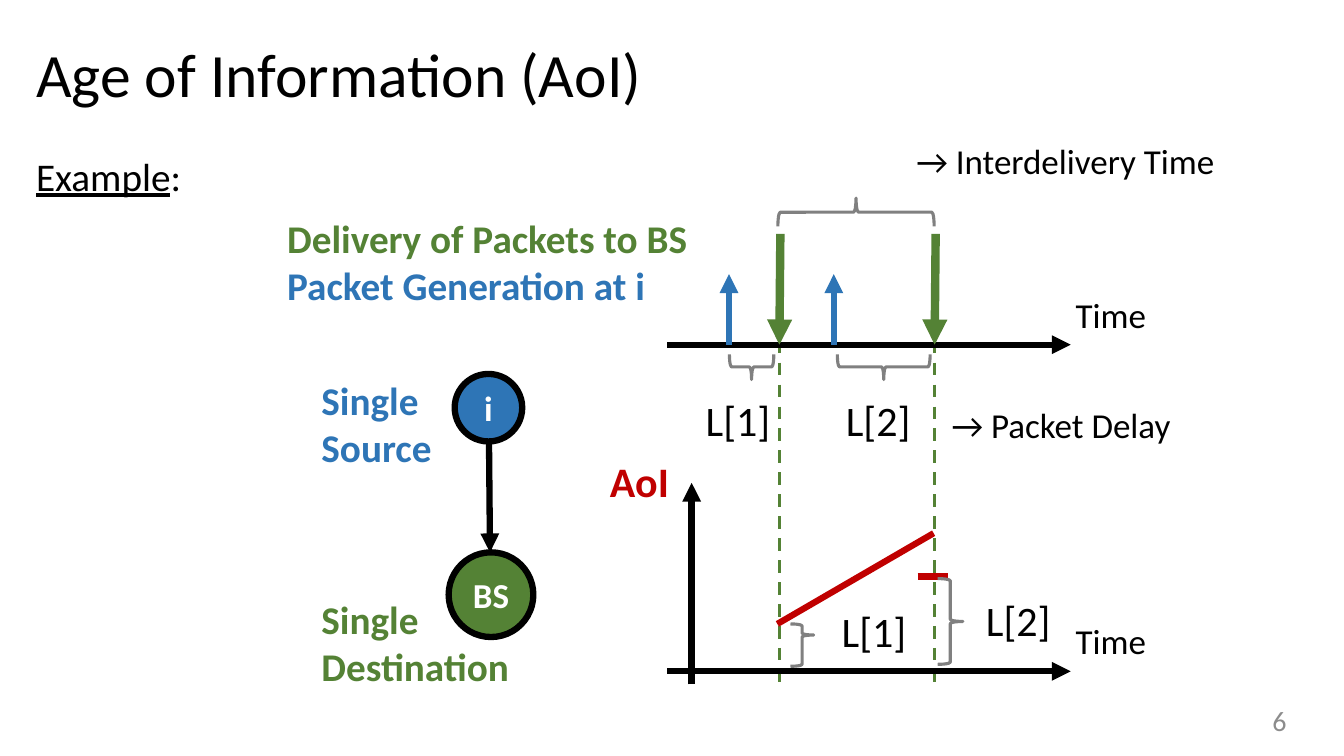
from dataclasses import dataclass

from lxml import etree
from pptx import Presentation
from pptx import util as u
from pptx.dml.color import RGBColor
from pptx.enum import dml, shapes, text
from pptx.oxml import ns


@dataclass(frozen=True)
class Theme:
    font: str = "Calibri"
    black: str = "000000"
    white: str = "FFFFFF"
    grey: str = "808080"
    number_grey: str = "8C8C8C"
    blue: str = "2E75B6"
    green: str = "548235"
    red: str = "C00000"
    title: int = 44
    interval: int = 30
    body: int = 28
    label: int = 25
    number: int = 20
    heavy: float = 4.5
    thin: float = 2.25


THEME = Theme()
LEFT, CENTER, RIGHT = text.PP_ALIGN.LEFT, text.PP_ALIGN.CENTER, text.PP_ALIGN.RIGHT
TOP, MIDDLE = text.MSO_ANCHOR.TOP, text.MSO_ANCHOR.MIDDLE

# Shared positions on the two time axes
AXIS_START, AXIS_END = 6.62, 10.62
PACKET_AXIS, AGE_AXIS = 3.42, 6.66
GENERATIONS = (7.23, 8.27)
DELIVERIES = (7.73, 9.27)


def set_all(target, values):
    for name, value in values.items():
        setattr(target, name, value)


def inches(values):
    return [u.Inches(value) for value in values]


def write(shape, lines, size, align=LEFT, anchor=TOP, wrap=True, spacing=1.0):
    """Fill a shape with paragraphs; each line is a list of run formats."""
    frame = shape.text_frame
    set_all(frame, {"word_wrap": wrap, "vertical_anchor": anchor,
                    "auto_size": text.MSO_AUTO_SIZE.NONE})
    for index, runs in enumerate(lines):
        paragraph = frame.paragraphs[0] if index == 0 else frame.add_paragraph()
        set_all(paragraph, {"alignment": align, "line_spacing": spacing})
        for words, color, style in runs:
            run = paragraph.add_run()
            run.text = words
            set_all(run.font, {"name": THEME.font, "size": u.Pt(size), **style})
            run.font.color.rgb = RGBColor.from_string(color)


def add_label(slide, box, lines, size, **layout):
    write(slide.shapes.add_textbox(*inches(box)), lines, size, **layout)


def plain(words, color=THEME.black):
    return [(words, color, {})]


def bold(words, color):
    return [(words, color, {"bold": True})]


def set_outline(line, color, width):
    line.color.rgb = RGBColor.from_string(color)
    line.width = u.Pt(width)


def add_line(slide, start, end, color, width=THEME.heavy, arrow=False, dash=False):
    connector = slide.shapes.add_connector(
        shapes.MSO_CONNECTOR.STRAIGHT, *inches(start + end))
    set_outline(connector.line, color, width)
    if dash:
        connector.line.dash_style = dml.MSO_LINE.DASH
    if arrow:
        etree.SubElement(connector.line._get_or_add_ln(), ns.qn("a:tailEnd"),
                         type="triangle")
    properties = connector._element.spPr
    etree.SubElement(properties, ns.qn("a:effectLst"))


def add_node(slide, box, words, color):
    node = slide.shapes.add_shape(shapes.MSO_SHAPE.OVAL, *inches(box))
    node.shadow.inherit = False
    node.fill.solid()
    node.fill.fore_color.rgb = RGBColor.from_string(color)
    set_outline(node.line, THEME.black, THEME.heavy)
    set_all(node.text_frame, dict.fromkeys(("margin_left", "margin_right"), 0))
    write(node, [bold(words, THEME.white)], THEME.label, CENTER, MIDDLE)


def add_brace(slide, box, rotation, adjustments=()):
    brace = slide.shapes.add_shape(shapes.MSO_SHAPE.LEFT_BRACE, *inches(box))
    brace.shadow.inherit = False
    brace.fill.background()
    brace.rotation = rotation
    set_outline(brace.line, THEME.grey, THEME.thin)
    for index, value in enumerate(adjustments):
        brace.adjustments[index] = value


def add_headings(slide):
    title = slide.shapes.title
    set_all(title, dict(zip(("left", "top", "width", "height"),
                            inches((0.26, 0.22, 12.82, 1.1)))))
    write(title, [plain("Age of Information (AoI)")], THEME.title,
          anchor=MIDDLE, spacing=0.9)
    add_label(slide, (0.26, 1.51, 2.5, 0.6),
              [[("Example", THEME.black, {"underline": True}),
                (":", THEME.black, {"underline": False})]],
              THEME.body, spacing=0.9)
    add_label(slide, (9.86, 6.95, 3, 0.4), [plain("6", THEME.number_grey)],
              THEME.number, align=RIGHT, anchor=MIDDLE)


def add_network(slide):
    add_line(slide, (4.85, 4.39), (4.86, 5.48), THEME.black, arrow=True)
    add_node(slide, (4.45, 5.48, 0.84, 0.84), "BS", THEME.green)
    add_node(slide, (4.51, 3.71, 0.67, 0.67), "i", THEME.blue)
    for top, role, color in ((3.68, "Source", THEME.blue),
                             (5.86, "Destination", THEME.green)):
        add_label(slide, (3.09, top, 2.3, 1.04),
                  [bold("Single", color), bold(role, color)], THEME.body)


def add_timelines(slide):
    # Delivery instants shared by both charts
    for x in DELIVERIES:
        add_line(slide, (x, 3.38), (x, 6.78), THEME.green, THEME.thin, dash=True)

    # Axes
    for y in (PACKET_AXIS, AGE_AXIS):
        add_line(slide, (AXIS_START, y), (AXIS_END, y), THEME.black, arrow=True)
        add_label(slide, (10.57, y - 0.56, 1.09, 0.52), [plain("Time")], THEME.label)
    add_line(slide, (6.86, 6.79), (6.86, 4.79), THEME.black, arrow=True)
    add_label(slide, (5.95, 4.47, 0.84, 0.61), [bold("AoI", THEME.red)],
              THEME.interval)

    # Age curve
    add_line(slide, (7.71, 6.19), (9.26, 5.29), THEME.red)
    add_line(slide, (9.1, 5.72), (9.4, 5.72), THEME.red)

    # Packet arrows
    for x in GENERATIONS:
        add_line(slide, (x, PACKET_AXIS), (x, 2.72), THEME.blue, arrow=True)
    for x in DELIVERIES:
        add_line(slide, (x + 0.01, 2.32), (x, PACKET_AXIS), THEME.green, 6, arrow=True)


def add_annotations(slide):
    # Braces: interdelivery time, packet delays, ages after delivery
    add_brace(slide, (8.35, 1.33, 0.28, 1.55), 90)
    add_brace(slide, (7.33, 3.42, 0.25, 0.44), 270)
    add_brace(slide, (8.64, 3.18, 0.25, 0.92), 270)
    add_brace(slide, (7.84, 6.19, 0.23, 0.42), 180, (0.083, 0.739))
    add_brace(slide, (9.3, 5.74, 0.25, 0.85), 180)

    for left, top, words in ((6.9, 3.86, "L[1]"), (8.29, 3.86, "L[2]"),
                             (8.25, 5.96, "L[1]"), (9.68, 5.85, "L[2]")):
        add_label(slide, (left, top, 0.85, 0.61), [plain(words)],
                  THEME.interval, wrap=False)
    for left, top, width, words in ((8.99, 1.33, 3.22, "→ Interdelivery Time"),
                                    (9.34, 3.95, 2.5, "→ Packet Delay")):
        add_label(slide, (left, top, width, 0.52), [plain(words)],
                  THEME.label, wrap=False)
    add_label(slide, (2.75, 2.08, 4.22, 1.04),
              [bold("Delivery of Packets to BS", THEME.green),
               bold("Packet Generation at i", THEME.blue)],
              THEME.body, wrap=False)


def main():
    presentation = Presentation()
    set_all(presentation, {"slide_width": u.Inches(13.33),
                           "slide_height": u.Inches(7.5)})
    slide = presentation.slides.add_slide(presentation.slide_layouts[5])
    add_headings(slide)
    add_network(slide)
    add_timelines(slide)
    add_annotations(slide)
    presentation.save("out.pptx")


if __name__ == "__main__":
    main()
